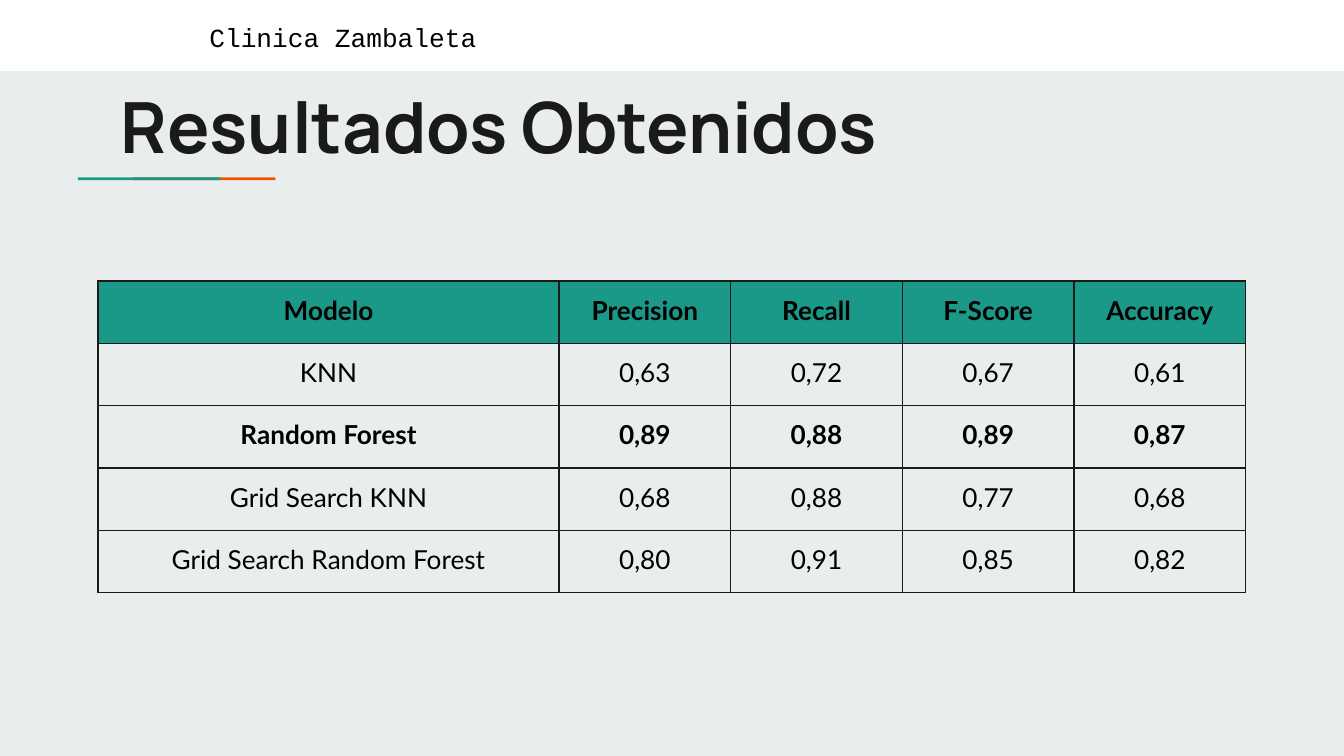
from dataclasses import dataclass

from lxml.etree import SubElement
from pptx import Presentation
from pptx.dml.color import RGBColor
from pptx.enum.shapes import MSO_SHAPE as Shape
from pptx.enum.text import MSO_ANCHOR as Anchor, PP_ALIGN as Align
from pptx.oxml.ns import qn
from pptx.util import Inches, Pt

HEADER = "Clinica Zambaleta"
TITLE = "Resultados Obtenidos"
COLUMNS = ["Modelo", "Precision", "Recall", "F-Score", "Accuracy"]
RESULTS = [
    ("KNN", "0,63", "0,72", "0,67", "0,61"),
    ("Random Forest", "0,89", "0,88", "0,89", "0,87"),
    ("Grid Search KNN", "0,68", "0,88", "0,77", "0,68"),
    ("Grid Search Random Forest", "0,80", "0,91", "0,85", "0,82"),
]
BEST_MODEL = "Random Forest"


@dataclass(frozen=True)
class Theme:
    background: str = "E9EDEE"
    band: str = "FFFFFF"
    teal: str = "1A9988"
    orange: str = "EB5600"
    dark: str = "1A1A1A"
    text: str = "000000"
    title_font: str = "Manrope"
    header_font: str = "Courier New"
    table_font: str = "Lato"
    title_size: float = 37.8
    body_size: float = 14
    border: float = 0.75


THEME = Theme()
SLIDE_WIDTH = 10
SLIDE_HEIGHT = SLIDE_WIDTH * 9 / 16
TABLE_LEFT, TABLE_TOP = 0.73, 2.09
TABLE_WIDTH, TABLE_HEIGHT = 8.54, 2.32
MODEL_WIDTH = 3.43
ACCENTS = [(0.99, THEME.orange), (0.58, THEME.teal)]
ACCENT_TOP, ACCENT_WIDTH, ACCENT_HEIGHT = 1.32, 1.06, 0.02


def write(frame, text, *, font, size=THEME.body_size, color=THEME.text,
          bold=False, align=Align.LEFT):
    paragraph = frame.paragraphs[0]
    paragraph.alignment = align
    run = paragraph.add_run()
    run.text = text
    run.font.name = font
    run.font.size = Pt(size)
    run.font.bold = bold
    run.font.color.rgb = RGBColor.from_string(color)


def set_margins(owner):
    owner.margin_left = owner.margin_right = Inches(0.1)
    owner.margin_top = owner.margin_bottom = Inches(0.1)


def add_bar(slide, left, top, width, height, color):
    bar = slide.shapes.add_shape(Shape.RECTANGLE, *map(Inches, (left, top, width, height)))
    bar.shadow.inherit = False
    bar.fill.solid()
    bar.fill.fore_color.rgb = RGBColor.from_string(color)
    bar.line.fill.background()


def add_text(slide, text, left, top, width, height, **style):
    frame = slide.shapes.add_textbox(*map(Inches, (left, top, width, height))).text_frame
    frame.word_wrap = True
    frame.vertical_anchor = Anchor.TOP
    set_margins(frame)
    write(frame, text, **style)


def set_borders(cell):
    properties = cell._tc.get_or_add_tcPr()
    for index, side in enumerate(("lnL", "lnR", "lnT", "lnB")):
        line = SubElement(properties, qn(f"a:{side}"), w=str(Pt(THEME.border)))
        fill = SubElement(line, qn("a:solidFill"))
        SubElement(fill, qn("a:srgbClr"), val=THEME.dark)
        properties.insert(index, line)


def add_results_table(slide):
    rows = [COLUMNS, *RESULTS]
    score_count = len(COLUMNS) - 1
    widths = [MODEL_WIDTH] + [(TABLE_WIDTH - MODEL_WIDTH) / score_count] * score_count
    table = slide.shapes.add_table(
        len(rows), len(COLUMNS), Inches(TABLE_LEFT), Inches(TABLE_TOP),
        Inches(TABLE_WIDTH), Inches(TABLE_HEIGHT)).table
    table.first_row = table.horz_banding = False
    for column, width in zip(table.columns, widths):
        column.width = Inches(width)
    for row_index, values in enumerate(rows):
        is_header = row_index == 0
        for column_index, value in enumerate(values):
            cell = table.cell(row_index, column_index)
            set_margins(cell)
            if is_header:
                cell.fill.solid()
                cell.fill.fore_color.rgb = RGBColor.from_string(THEME.teal)
            else:
                cell.fill.background()
            set_borders(cell)
            write(cell.text_frame, value, font=THEME.table_font, align=Align.CENTER,
                  bold=is_header or values[0] == BEST_MODEL)


def main():
    presentation = Presentation()
    presentation.slide_width = Inches(SLIDE_WIDTH)
    presentation.slide_height = Inches(SLIDE_HEIGHT)
    slide = presentation.slides.add_slide(presentation.slide_layouts[6])
    slide.background.fill.solid()
    slide.background.fill.fore_color.rgb = RGBColor.from_string(THEME.background)

    add_bar(slide, 0, 0, SLIDE_WIDTH, 0.53, THEME.band)
    for left, color in ACCENTS:
        add_bar(slide, left, ACCENT_TOP, ACCENT_WIDTH, ACCENT_HEIGHT, color)
    add_text(slide, TITLE, 0.8, 0.52, 8.41, 0.79, font=THEME.title_font,
             size=THEME.title_size, color=THEME.dark, bold=True)
    add_text(slide, HEADER, 1.46, 0.06, 2.51, 0.44, font=THEME.header_font)
    add_results_table(slide)
    presentation.save("out.pptx")


if __name__ == "__main__":
    main()
